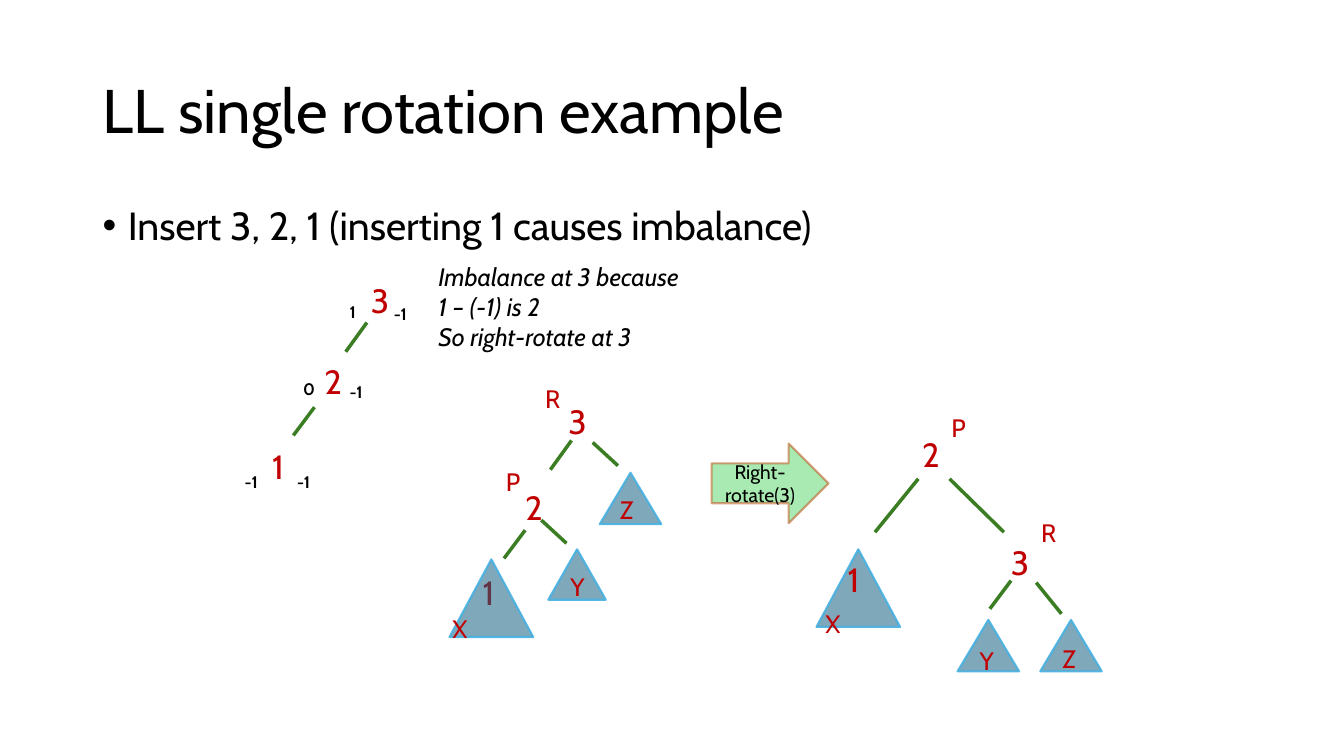
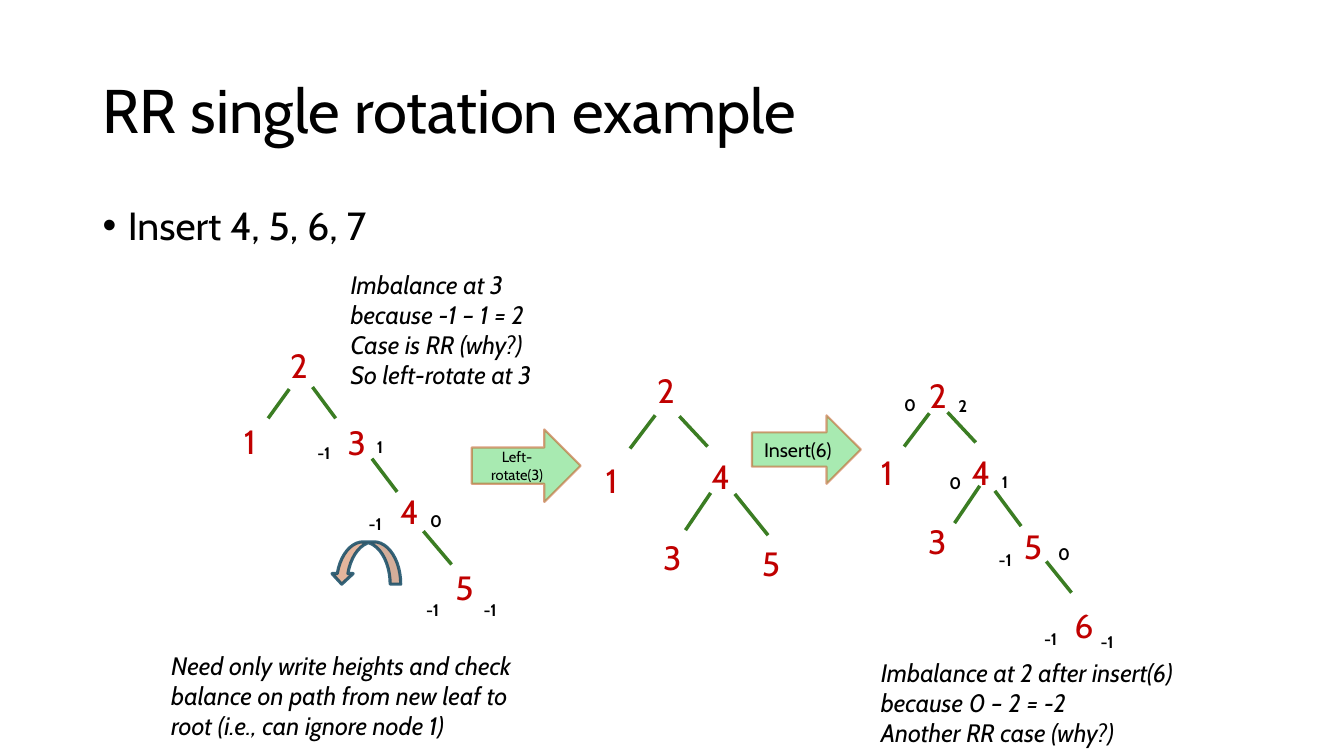
from lxml import etree
from pptx import Presentation
from pptx.dml.color import RGBColor
from pptx.enum.shapes import MSO_CONNECTOR, MSO_SHAPE
from pptx.enum.text import MSO_ANCHOR, PP_ALIGN
from pptx.oxml.ns import qn
from pptx.util import Inches, Pt

LINE = MSO_CONNECTOR.STRAIGHT
TRIANGLE, RIGHT_ARROW = MSO_SHAPE.ISOSCELES_TRIANGLE, MSO_SHAPE.RIGHT_ARROW
CURVED_ARROW = MSO_SHAPE.CURVED_RIGHT_ARROW
TOP, MIDDLE = MSO_ANCHOR.TOP, MSO_ANCHOR.MIDDLE
LEFT, CENTER = PP_ALIGN.LEFT, PP_ALIGN.CENTER

BLACK = RGBColor(0x00, 0x00, 0x00)
RED = RGBColor(0xC0, 0x00, 0x00)
GREEN = RGBColor(0x3B, 0x7D, 0x23)
LIME = RGBColor(0x47, 0xD4, 0x5A)
ORANGE = RGBColor(0xC0, 0x4F, 0x15)
TEAL = RGBColor(0x15, 0x60, 0x82)
DARK_TEAL = RGBColor(0x10, 0x48, 0x62)
SKY = RGBColor(0x46, 0xB1, 0xE1)

# The slide is a grid of square cells; every length below counts cells
CELL = 0.1
COLUMNS, ROWS = 133.33, 75
TITLE_BOX = (9.2, 4, 115, 14.5)
BODY_BOX = (9.2, 20, 115, 47.6)
NODE_SIZE, HEIGHT_SIZE, NAME_SIZE = (4.2, 5), (4.6, 3), (4.2, 4)
LARGE, MEDIUM, SMALL = (8.3, 7.7), (6.1, 5.1), (5.7, 5)

# Text styles: font attributes and colour
STYLES = {
    "title": ({"size": Pt(44)}, BLACK),
    "body": ({"size": Pt(28)}, BLACK),
    "note": ({"size": Pt(18), "italic": True}, BLACK),
    "node": ({"size": Pt(24)}, RED),
    "name": ({"size": Pt(18)}, RED),
    "height": ({"size": Pt(12), "bold": True}, BLACK),
    "step": ({"size": Pt(14)}, BLACK),
    "small step": ({"size": Pt(10.5)}, BLACK),
}
# Shape looks: fill, opacity %, line, opacity %, line width
LOOKS = {
    "subtree": (TEAL, 54, SKY, 90, 1.5),
    "step": (LIME, 47, ORANGE, 53, 1.5),
    "turn": (ORANGE, 42, DARK_TEAL, 84, 2.25),
}


def cells(*values):
    return [Inches(value * CELL) for value in values]


def write(shape, lines, style, anchor=TOP, align=LEFT, spacing=None, bullet=False):
    """Fill a shape with one paragraph per line."""
    frame = shape.text_frame
    frame.word_wrap = True
    frame.vertical_anchor = anchor
    values, color = STYLES[style]
    for index, line in enumerate(lines):
        paragraph = frame.add_paragraph() if index else frame.paragraphs[0]
        paragraph.alignment = align
        paragraph.line_spacing = spacing
        if bullet:
            properties = paragraph._p.get_or_add_pPr()
            properties.set("marL", str(Inches(0.25)))
            properties.set("indent", str(-Inches(0.25)))
            etree.SubElement(properties, qn("a:buFont")).set("typeface", "Arial")
            etree.SubElement(properties, qn("a:buChar")).set("char", "•")
        run = paragraph.add_run()
        run.text = line
        for attribute, value in {"name": "Cabin", **values}.items():
            setattr(run.font, attribute, value)
        run.font.color.rgb = color


def add_text(slide, box, lines, style, **layout):
    write(slide.shapes.add_textbox(*cells(*box)), lines, style, **layout)


def add_figure(slide, preset, box, look):
    """Add a preset shape with a half-transparent fill and line."""
    fill, fill_opacity, line, line_opacity, width = LOOKS[look]
    shape = slide.shapes.add_shape(preset, *cells(*box))
    shape.shadow.inherit = False
    shape.fill.solid()
    shape.line.width = Pt(width)
    paints = ((shape.fill.fore_color, fill), (shape.line.color, line))
    for paint, color in paints:
        paint.rgb = color
    colors = shape._element.spPr.iter(qn("a:srgbClr"))
    for element, opacity in zip(colors, (fill_opacity, line_opacity)):
        etree.SubElement(element, qn("a:alpha")).set("val", str(opacity * 1000))
    return shape


def add_edge(slide, start, end):
    edge = slide.shapes.add_connector(LINE, *cells(*start, *end))
    edge.line.color.rgb = GREEN
    edge.line.width = Pt(2.5)
    etree.SubElement(edge._element.spPr, qn("a:effectLst"))


def add_tree(slide, left, top, parts):
    """Draw a tree from its corner; the order of the parts is the stacking."""
    sizes = {"nodes": NODE_SIZE, "heights": HEIGHT_SIZE, "names": NAME_SIZE}
    for kind, items in parts.items():
        for item in items:
            if kind == "edges":
                x1, y1, x2, y2 = item
                add_edge(slide, (left + x1, top + y1), (left + x2, top + y2))
                continue
            content, x, y = item
            corner = (left + x, top + y)
            if kind == "subtrees":
                add_figure(slide, TRIANGLE, corner + content, "subtree")
            else:
                add_text(slide, corner + sizes[kind], [content], kind[:-1])


def add_step(slide, box, label, style="step"):
    arrow = add_figure(slide, RIGHT_ARROW, box, "step")
    write(arrow, [label], style, anchor=MIDDLE, align=CENTER)


def add_page(presentation, title, bullet):
    """Start a slide with its title and bullet line."""
    slide = presentation.slides.add_slide(presentation.slide_layouts[6])
    add_text(slide, TITLE_BOX, [title], "title", anchor=MIDDLE, spacing=0.9)
    add_text(slide, BODY_BOX, [bullet], "body", spacing=0.9, bullet=True)
    return slide


def build_ll_slide(presentation):
    slide = add_page(presentation, "LL single rotation example",
                     "Insert 3, 2, 1 (inserting 1 causes imbalance)")
    # Unbalanced tree with heights
    add_tree(slide, 23.3, 27.3, {
        "nodes": [("3", 12.5, 0), ("2", 7.9, 8), ("1", 2.7, 16.4)],
        "edges": [(13.1, 4.7, 11, 7.6), (7.9, 13.1, 5.8, 15.9)],
        "heights": [("1", 10.4, 2.1), ("-1", 14.8, 2.3), ("0", 5.8, 9.8),
                    ("-1", 10.4, 10.1), ("-1", 0, 19), ("-1", 5.2, 19)],
    })
    # Before the rotation
    add_tree(slide, 43.9, 37.5, {
        "nodes": [("3", 11.5, 1.8), ("2", 7.2, 10.3), ("1", 3, 18.7)],
        "subtrees": [(LARGE, 0.7, 18), (SMALL, 10.5, 17), (MEDIUM, 15.6, 9.4)],
        "names": [("R", 9.2, 0), ("P", 5.3, 8.3), ("X", 0, 22.9),
                  ("Y", 11.7, 18.7), ("Z", 16.6, 11)],
        "edges": [(12.8, 6.2, 10.7, 9.1), (14.9, 6.4, 17.4, 8.7),
                  (8.2, 15.1, 6.1, 17.9), (9.8, 14.1, 12.3, 16.4)],
    })
    add_step(slide, (70.6, 44, 11.6, 7.9), "Right-rotate(3)")
    # After the rotation
    add_tree(slide, 80.9, 40.4, {
        "subtrees": [(LARGE, 0.1, 14.1), (MEDIUM, 14.1, 21.1),
                     (MEDIUM, 22.3, 21.1)],
        "nodes": [("2", 9.6, 2.2), ("1", 2.2, 14.6), ("3", 18.4, 12.9)],
        "names": [("P", 12.5, 0), ("R", 21.4, 10.4), ("X", 0, 19.5),
                  ("Y", 15.3, 23.1), ("Z", 23.5, 22.9)],
        "edges": [(10.2, 7.1, 5.9, 12.4), (13.3, 7.1, 18.7, 12.4),
                  (19.4, 17.2, 17.3, 20), (21.9, 17.4, 24.4, 20.5)],
    })
    add_text(slide, (42.5, 25.4, 26.3, 10.1),
             ["Imbalance at 3 because 1 – (-1) is 2", "So right-rotate at 3"],
             "note")


def build_rr_slide(presentation):
    slide = add_page(presentation, "RR single rotation example",
                     "Insert 4, 5, 6, 7")
    # Unbalanced tree with heights
    add_tree(slide, 23.2, 33.7, {
        "nodes": [("2", 4.6, 0), ("1", 0, 7.6), ("3", 10.3, 7.7),
                  ("4", 15.5, 14.5), ("5", 21, 22.1)],
        "edges": [(5.5, 4.9, 3.4, 7.8), (7.8, 4.7, 10.1, 7.8),
                  (13.7, 11.8, 16.2, 15.1), (18.8, 19, 21.6, 22.3)],
        "heights": [("-1", 7.3, 9.7), ("1", 13.2, 9.1), ("-1", 12.4, 16.8),
                    ("0", 18.5, 16.5), ("-1", 18.1, 25.3), ("-1", 23.8, 25.3)],
    })
    turn = add_figure(slide, CURVED_ARROW, (34.2, 52.4, 4.2, 6.9), "turn")
    turn.rotation = 90
    add_step(slide, (46.8, 42.6, 10.8, 7.2), "Left-rotate(3)", "small step")
    # After the rotation
    add_tree(slide, 59.1, 36.2, {
        "nodes": [("2", 5.1, 0), ("1", 0, 8.9), ("4", 10.5, 8.5),
                  ("3", 5.7, 16.6), ("5", 15.5, 17.2)],
        "edges": [(5.9, 5, 3.4, 8.3), (8.3, 5.1, 11.1, 8.1),
                  (11.4, 12.7, 8.9, 16.4), (13.8, 12.8, 17.1, 16.9)],
    })
    add_step(slide, (74.6, 41.2, 10.8, 6.8), "Insert(6)")
    # After the next insertion
    add_tree(slide, 86.4, 36.7, {
        "nodes": [("2", 4.8, 0), ("1", 0, 7.6), ("4", 9, 7.6),
                  ("3", 4.7, 14.5), ("5", 14.2, 15), ("6", 19.2, 22.8)],
        "edges": [(5.8, 4.3, 3.3, 7.6), (7.6, 4.2, 10.4, 7.2),
                  (10.8, 11.5, 8.3, 15.2), (12.3, 12, 14.9, 15.5),
                  (17.4, 19, 19.9, 22.1)],
        "heights": [("0", 2.3, 2), ("2", 7.7, 2.1), ("0", 6.8, 9.7),
                    ("1", 12, 9.6), ("-1", 11.7, 17.3), ("0", 17.6, 16.8),
                    ("-1", 16.2, 25.2), ("-1", 21.8, 25.5)],
    })
    # Explanations
    notes = [
        ((33.8, 26.2, 23.7, 13.1), ["Imbalance at 3 because -1 – 1 = 2",
                                    "Case is RR (why?)", "So left-rotate at 3"]),
        ((86.4, 64.7, 35, 10.1), ["Imbalance at 2 after insert(6) because 0 – 2 = -2",
                                  "Another RR case (why?)"]),
        ((16, 64, 39.1, 10.1), ["Need only write heights and check balance on path "
                                "from new leaf to root (i.e., can ignore node 1)"]),
    ]
    for box, lines in notes:
        add_text(slide, box, lines, "note")


def main():
    presentation = Presentation()
    presentation.slide_width, presentation.slide_height = cells(COLUMNS, ROWS)
    build_ll_slide(presentation)
    build_rr_slide(presentation)
    presentation.save("out.pptx")


if __name__ == "__main__":
    main()
